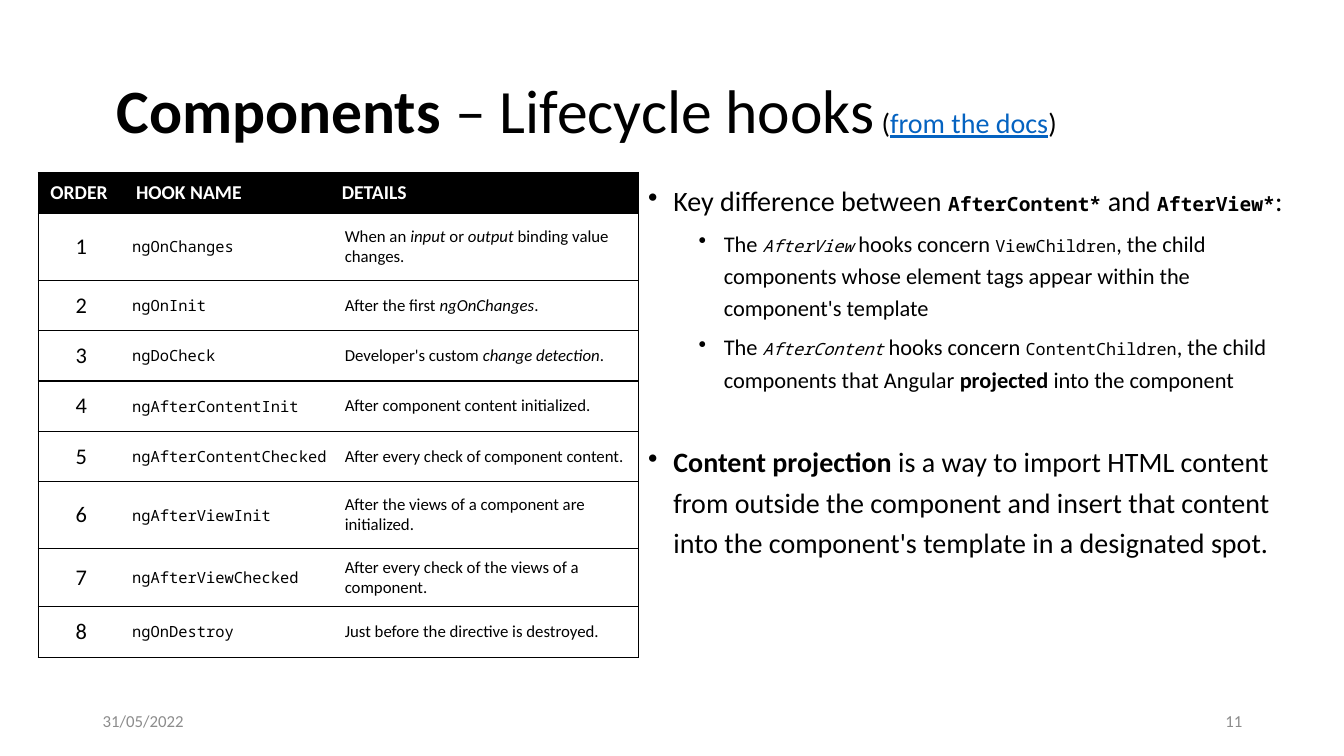
from lxml import etree
from pptx import Presentation, util as u
from pptx.dml.color import RGBColor
from pptx.enum import text
from pptx.oxml.ns import qn

COLORS = {"ink": "000000", "paper": "FFFFFF", "link": "0563C1", "muted": "8C8C8C"}
SANS, MONO = "Calibri", "Noto Sans Mono"
BOLD, ITALIC = {"bold": True}, {"italic": True}
MONO_BOLD = {"name": MONO, "size": 14, "bold": True}
MONO_PLAIN = {"name": MONO, "size": 12}
MONO_ITALIC = {**MONO_PLAIN, "italic": True}

TITLE = [" ", ("Components ", BOLD), "– Lifecycle hooks", (" (", {"size": 20}),
         ("from the docs", {"size": 20, "color": "link", "underline": True}),
         (")", {"size": 20})]
HEADERS = ["ORDER", "HOOK NAME", "DETAILS"]
HOOKS = [
    ("ngOnChanges", 0.66, ["When an ", ("input", ITALIC), " or ", ("output", ITALIC),
                           " binding value changes."]),
    ("ngOnInit", 0.5, ["After the first ", ("ngOnChanges", ITALIC), "."]),
    ("ngDoCheck", 0.5, ["Developer's custom ", ("change detection", ITALIC), "."]),
    ("ngAfterContentInit", 0.5, ["After component content initialized."]),
    ("ngAfterContentChecked", 0.5, ["After every check of component content."]),
    ("ngAfterViewInit", 0.66, ["After the views of a component are initialized."]),
    ("ngAfterViewChecked", 0.58, ["After every check of the views of a component."]),
    ("ngOnDestroy", 0.5, ["Just before the directive is destroyed."]),
]
NOTES = [
    (0.25, 20, 10, ["Key difference between ", ("AfterContent*", MONO_BOLD), " and ",
                    ("AfterView*", MONO_BOLD), ":"]),
    (0.75, 16, 5, ["The ", ("AfterView", MONO_ITALIC), " hooks concern ",
                   ("ViewChildren", MONO_PLAIN),
                   ", the child components whose element tags appear within "
                   "the component's template"]),
    (0.75, 16, 5, ["The ", ("AfterContent", MONO_ITALIC), " hooks concern ",
                   ("ContentChildren", MONO_PLAIN), ", the child components that Angular ",
                   ("projected", BOLD), " into the component"]),
    (0.25, 20, 32.5, [("Content projection", BOLD),
                      " is a way to import HTML content from outside the component and "
                      "insert that content into the component's template "
                      "in a designated spot."]),
]


class SlideBuilder:
    def __init__(self, slide):
        self.slide = slide

    def style_font(self, font, size=None, color=None, **settings):
        if size:
            font.size = u.Pt(size)
        if color:
            font.color.rgb = RGBColor.from_string(COLORS[color])
        for key, value in settings.items():
            setattr(font, key, value)

    def add_runs(self, paragraph, runs, size, color="ink", name=SANS, bold=False,
                 align=text.PP_ALIGN.LEFT):
        paragraph.alignment = align
        self.style_font(paragraph.font, size, color, name=name, bold=bold)
        for item in runs:
            words, settings = (item, {}) if isinstance(item, str) else item
            run = paragraph.add_run()
            run.text = words
            self.style_font(run.font, **settings)

    def add_box(self, left, top, width, height, anchor=text.MSO_ANCHOR.MIDDLE):
        shape = self.slide.shapes.add_textbox(*map(u.Inches, (left, top, width, height)))
        frame = shape.text_frame
        frame.word_wrap = True
        frame.vertical_anchor = anchor
        return frame

    def add_line(self, box, runs, size, line_spacing=1.0, **settings):
        paragraph = self.add_box(*box).paragraphs[0]
        paragraph.line_spacing = line_spacing
        self.add_runs(paragraph, runs, size, **settings)

    def add_bullets(self, box, bullets):
        frame = self.add_box(*box, anchor=text.MSO_ANCHOR.TOP)
        for index, (indent, size, space_before, runs) in enumerate(bullets):
            paragraph = frame.add_paragraph() if index else frame.paragraphs[0]
            paragraph.level = int(indent > 0.5)
            paragraph.line_spacing = 1.2
            paragraph.space_before = u.Pt(space_before)
            properties = paragraph._p.get_or_add_pPr()
            properties.set("marL", str(u.Inches(indent)))
            properties.set("indent", str(u.Inches(-0.25)))
            etree.SubElement(properties, qn("a:buChar"), char="•")
            self.add_runs(paragraph, runs, size)

    def set_borders(self, cell, sides):
        properties = cell._tc.get_or_add_tcPr()
        for side in "LRTB":
            line = etree.SubElement(properties, qn(f"a:ln{side}"), w=str(u.Pt(1)))
            if side in sides:
                fill = etree.SubElement(line, qn("a:solidFill"))
                etree.SubElement(fill, qn("a:srgbClr"), val=COLORS["ink"])
            else:
                etree.SubElement(line, qn("a:noFill"))

    def fill_cell(self, cell, runs, margins, sides, fill="paper", **settings):
        cell.margin_left = cell.margin_right = u.Inches(margins[0])
        cell.margin_top = cell.margin_bottom = u.Inches(margins[1])
        cell.vertical_anchor = text.MSO_ANCHOR.MIDDLE
        self.set_borders(cell, sides)
        cell.fill.solid()
        cell.fill.fore_color.rgb = RGBColor.from_string(COLORS[fill])
        self.add_runs(cell.text_frame.paragraphs[0], runs, **settings)

    def add_hook_table(self, left, top, widths, header_height, hooks):
        heights = [header_height] + [height for _, height, _ in hooks]
        table = self.slide.shapes.add_table(
            len(heights), len(widths), u.Inches(left), u.Inches(top),
            u.Inches(sum(widths)), u.Inches(sum(heights))).table
        table.first_row = table.horz_banding = False
        for column, width in zip(table.columns, widths):
            column.width = u.Inches(width)
        for row, height in zip(table.rows, heights):
            row.height = u.Inches(height)
        sides = ["LTB", "TB", "RTB"]
        header_margins = [(0.12, 0.04), (0.12, 0.04), (0.05, 0.03)]
        for column, header in enumerate(HEADERS):
            self.fill_cell(table.cell(0, column), [header], header_margins[column],
                           sides[column], fill="ink", size=14, color="paper", bold=True)
        styles = [{"size": 16, "align": text.PP_ALIGN.CENTER},
                  {"size": 11, "name": MONO}, {"size": 12}]
        for order, (hook, _, details) in enumerate(hooks, 1):
            for column, runs in enumerate(([str(order)], [hook], details)):
                self.fill_cell(table.cell(order, column), runs, (0.08, 0.09),
                               sides[column], **styles[column])


def main():
    presentation = Presentation()
    presentation.slide_width = u.Inches(13.33)
    presentation.slide_height = u.Inches(7.5)
    builder = SlideBuilder(presentation.slides.add_slide(presentation.slide_layouts[6]))
    builder.add_line((0.92, 0.4, 11.5, 1.45), TITLE, 44, line_spacing=0.9)
    builder.add_hook_table(0.38, 1.71, [0.85, 2.11, 2.99], 0.41, HOOKS)
    builder.add_bullets((6.33, 1.71, 6.62, 4.76), NOTES)
    builder.add_line((0.92, 6.95, 3, 0.4), ["31/05/2022"], 12, color="muted")
    builder.add_line((9.42, 6.95, 3, 0.4), ["11"], 12, color="muted",
                     align=text.PP_ALIGN.RIGHT)
    presentation.save("out.pptx")


if __name__ == "__main__":
    main()
